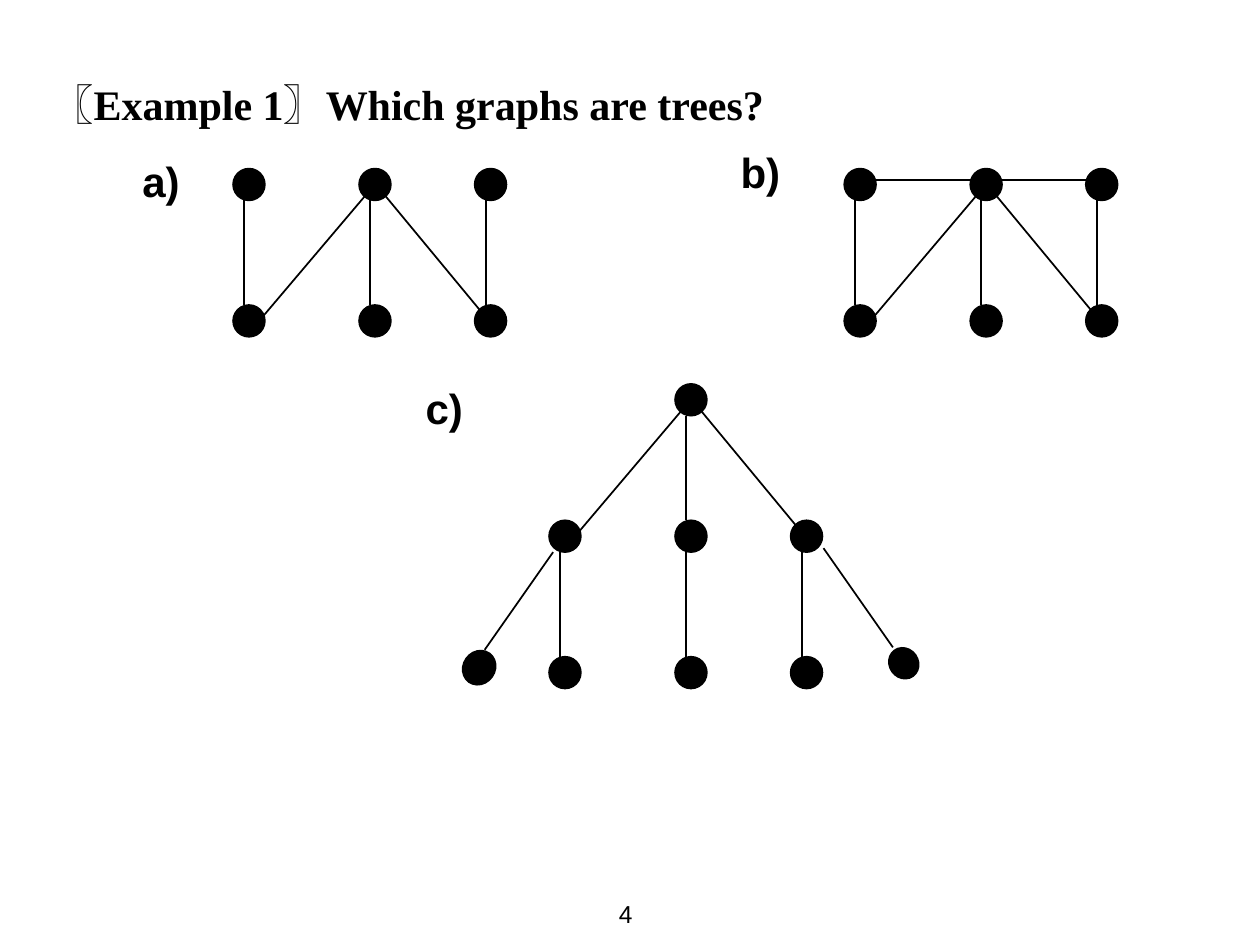
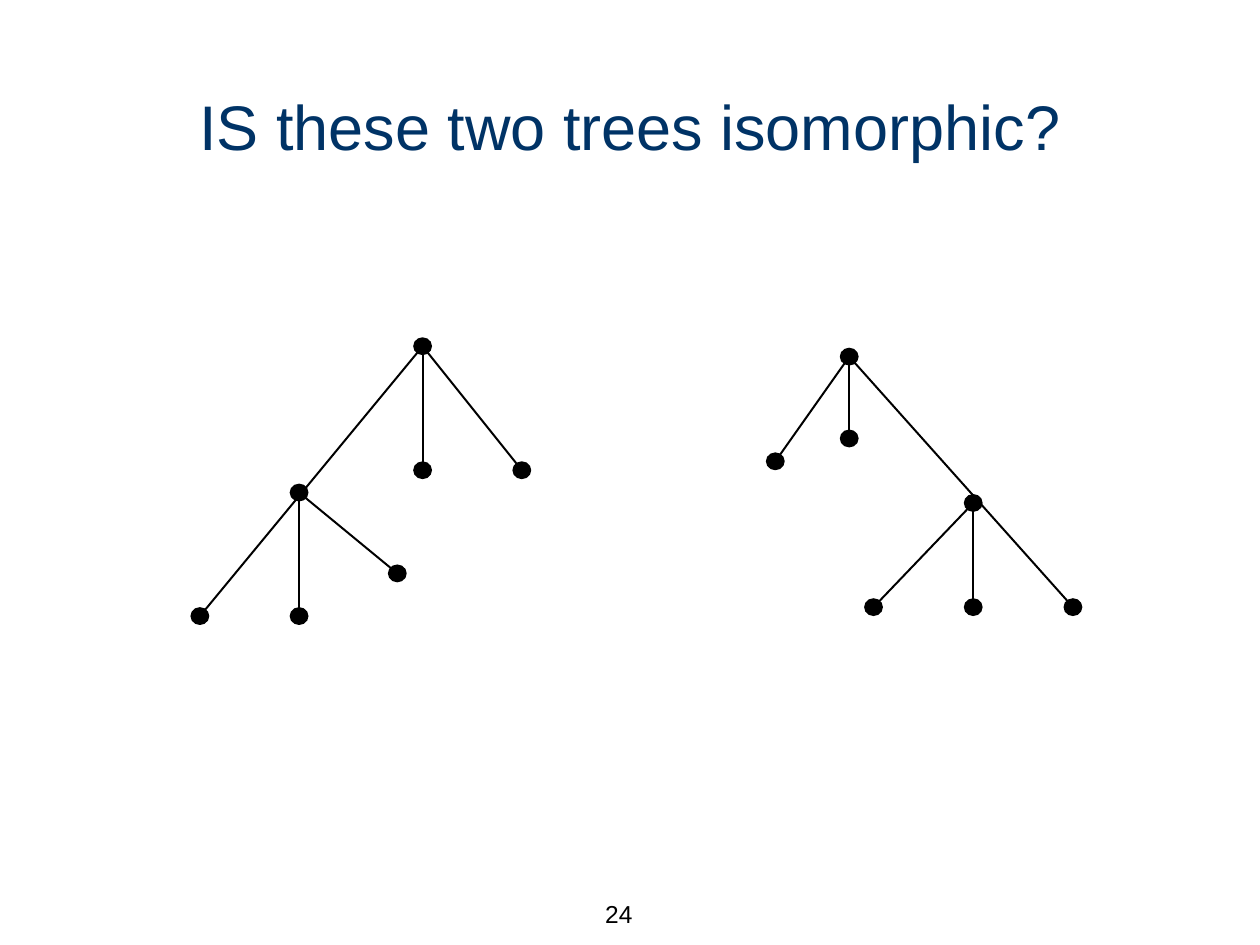
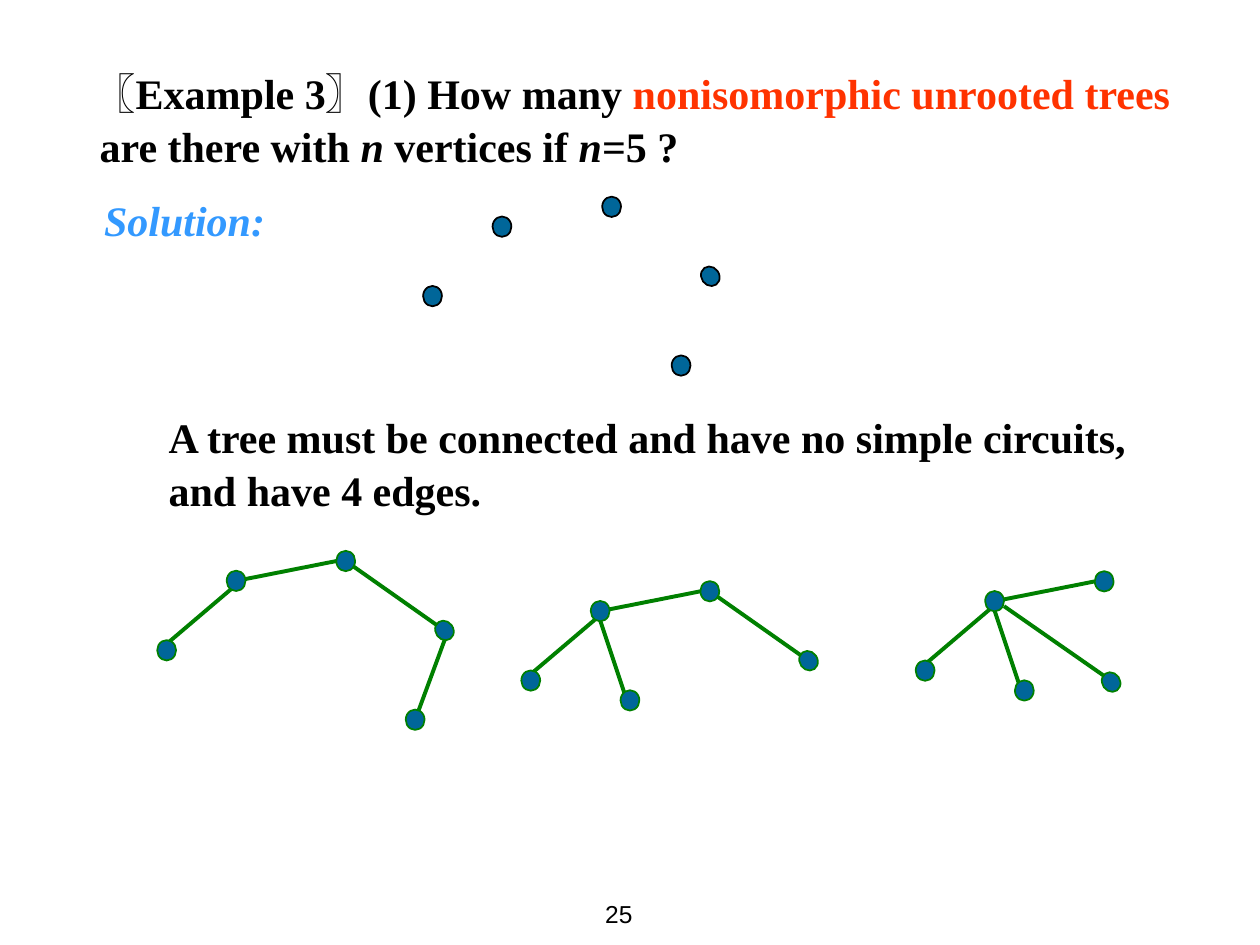
from lxml import etree
from pptx import Presentation
from pptx.dml.color import RGBColor
from pptx.enum.shapes import MSO_CONNECTOR, MSO_SHAPE
from pptx.enum.text import MSO_ANCHOR, PP_ALIGN
from pptx.oxml.ns import qn
from pptx.util import Cm, Pt

STRAIGHT, ELLIPSE = MSO_CONNECTOR.STRAIGHT, MSO_SHAPE.OVAL
TOP, MIDDLE = MSO_ANCHOR.TOP, MSO_ANCHOR.MIDDLE
LEFT, CENTER, RIGHT = PP_ALIGN.LEFT, PP_ALIGN.CENTER, PP_ALIGN.RIGHT

BLACK = RGBColor(0x00, 0x00, 0x00)
NAVY = RGBColor(0x00, 0x33, 0x66)
RED = RGBColor(0xFF, 0x33, 0x00)
SKY = RGBColor(0x33, 0x99, 0xFF)
TEAL = RGBColor(0x00, 0x66, 0x99)
GREEN = RGBColor(0x00, 0x80, 0x00)
SANS, SERIF = "Arial", "Times New Roman"

# Shared styles; lengths are centimetres, line widths and text sizes points
LARGE = dict(size=(0.64, 0.64), fill=BLACK, outline=BLACK, edge=BLACK, width=1)
SMALL = dict(size=(0.38, 0.36), fill=BLACK, outline=None, edge=BLACK, width=1.13)
SCATTERED = dict(size=(0.38, 0.41), fill=TEAL, outline=BLACK, edge=None, width=1)
JOINED = dict(size=(0.38, 0.41), fill=TEAL, outline=GREEN, edge=GREEN, width=2.25)
TILT = 324.8

# Slide 1: vertices sit on a grid, named (column, row)
COLUMNS, ROW_GAP = (0, 2.54, 4.87), 2.75
VERTICAL = ((-0.1, 0.32), (-0.1, -0.32))
TO_RIGHT = ((0.11, 0.11), (-0.11, -0.09))
TO_LEFT = ((-0.1, 0.11), (0.11, 0.11))
ACROSS = ((0.1, -0.09), (-0.1, -0.09))
FORK = [((1, 0), (2, 1), *TO_RIGHT), ((1, 0), (0, 1), *TO_LEFT)]


def columns_down(row, columns=(0, 1, 2)):
    return [((c, row), (c, row + 1), *VERTICAL) for c in columns]


TWO_ROWS = [(c, r) for r in range(2) for c in range(3)]
CANDIDATES = [
    dict(label="a)", label_at=(2.62, 2.97), origin=(5.02, 3.72), vertices=TWO_ROWS,
         edges=columns_down(0) + FORK, outer={}),
    dict(label="b)", label_at=(14.68, 2.77), origin=(17.34, 3.72), vertices=TWO_ROWS,
         edges=columns_down(0) + FORK + [((0, 0), (2, 0), *ACROSS)], outer={}),
    dict(label="c)", label_at=(8.33, 7.54), origin=(11.39, 8.06),
         vertices=[(1, 0)] + [(c, r) for r in (1, 2) for c in range(3)],
         edges=columns_down(0, [1]) + columns_down(1) + FORK + [
             ((0, 1), "outer left", (-0.24, 0.32), (0.11, -0.36)),
             ((2, 1), "outer right", (0.34, 0.24), (-0.22, -0.32))],
         outer={"outer left": (-1.73, 5.4, 0.64, 0.71, 35.2),
                "outer right": (6.83, 5.31, 0.58, 0.64, TILT)}),
]

# Slide 2: vertex centres and the edges between them
ISOMORPHIC = [
    (dict(root=(8.52, 6.98), middle=(8.52, 9.48), right=(10.52, 9.48), hub=(6.03, 9.93),
          low_left=(4.03, 12.42), low_middle=(6.03, 12.42), low_right=(8.01, 11.56)),
     ["root low_left", "root middle", "root right", "hub low_middle", "hub low_right"]),
    (dict(root=(17.12, 7.19), left=(15.63, 9.3), middle=(17.12, 8.84), hub=(19.62, 10.14),
          low_left=(17.61, 12.24), low_middle=(19.62, 12.24), low_right=(21.63, 12.24)),
     ["root left", "root middle", "root low_right", "hub low_left", "hub low_middle"]),
]

# Slide 3: vertices relative to the hub, and where each edge meets them
AROUND_HUB = dict(hub=(0, 0), left=(-1.4, 1.4), top=(2.21, -0.4), down=(0.6, 1.8),
                  right=(4.2, 1, 0.36, 0.41, TILT), bottom=(3.61, 2.8),
                  low_right=(2.35, 1.63, 0.36, 0.41, TILT))
HUB_EDGES = {
    "left hub": ((0, -0.13), (0, 0.08)),
    "hub top": ((0, 0), (-0.19, 0)),
    "top right": ((0, 0), (0, 0)),
    "right bottom": ((0, 0.2), (0, 0)),
    "hub down": ((0, 0.19), (0, 0.19)),
    "hub low_right": ((0.19, 0.1), (-0.15, -0.13)),
}
FIVE_VERTICES = [
    ((10.12, 4.57), "hub left top right bottom", [], SCATTERED),
    ((4.76, 11.71), "hub left top right bottom",
     ["left hub", "hub top", "top right", "right bottom"], JOINED),
    ((12.1, 12.32), "hub left top right down",
     ["left hub", "hub top", "hub down", "top right"], JOINED),
    ((20.05, 12.12), "hub left top low_right down",
     ["left hub", "hub top", "hub down", "hub low_right"], JOINED),
]
# Paragraph: runs, left margin, first-line indent, space before
QUESTION = [
    ([("〖Example 3〗(1) How many ", BLACK, False), ("nonisomorphic unrooted trees", RED, False),
      (" are there with ", BLACK, False), ("n ", BLACK, True), ("vertices if ", BLACK, False),
      ("n", BLACK, True), ("=5 ?", BLACK, False)], 0.97, -0.12, 0),
    ([("Solution:", SKY, True)], 0.97, 0.09, 12),
]
CONDITION = [([("A tree must be connected and have no simple circuits, and have 4 edges.",
                BLACK, False)], 0.97, 0, 0)]


def plain(text, color=BLACK):
    return [([(text, color, False)], 0, 0, 0)]


def add_text(slide, box, paragraphs, font, size, bold=False, align=LEFT, anchor=TOP, spacing=1.0):
    frame = slide.shapes.add_textbox(*map(Cm, box)).text_frame
    frame.word_wrap = True
    frame.vertical_anchor = anchor
    for i, (runs, margin, indent, before) in enumerate(paragraphs):
        paragraph = frame.add_paragraph() if i else frame.paragraphs[0]
        paragraph.alignment = align
        paragraph.line_spacing = spacing
        if before:
            paragraph.space_before = Pt(before)
        properties = paragraph._p.get_or_add_pPr()
        properties.set("marL", str(Cm(margin)))
        properties.set("indent", str(Cm(indent)))
        for text, color, italic in runs:
            run = paragraph.add_run()
            run.text = text
            run.font.name, run.font.size = font, Pt(size)
            run.font.bold, run.font.italic = bold, italic
            run.font.color.rgb = color


def add_edge(slide, start, end, style):
    edge = slide.shapes.add_connector(STRAIGHT, *map(Cm, (*start, *end)))
    edge.line.color.rgb = style["edge"]
    edge.line.width = Pt(style["width"])
    etree.SubElement(edge._element.spPr, qn("a:effectLst"))


def add_vertex(slide, style, x, y, width=None, height=None, rotation=0):
    if width is None:
        width, height = style["size"]
    vertex = slide.shapes.add_shape(
        ELLIPSE, Cm(x - width / 2), Cm(y - height / 2), Cm(width), Cm(height))
    vertex.rotation = rotation
    vertex.shadow.inherit = False
    vertex.fill.solid()
    vertex.fill.fore_color.rgb = style["fill"]
    if style["outline"] is None:
        vertex.line.fill.background()
    else:
        vertex.line.color.rgb = style["outline"]
        vertex.line.width = Pt(1)


def draw_graph(slide, vertices, edges, style, origin=(0, 0)):
    """Draw edges, then vertices; each edge gives two vertices and a shift at each."""
    placed = {name: (origin[0] + x, origin[1] + y, *rest)
              for name, (x, y, *rest) in vertices.items()}
    for first, second, *shifts in edges:
        start, end = [(placed[name][0] + dx, placed[name][1] + dy)
                      for name, (dx, dy) in zip((first, second), shifts)]
        add_edge(slide, start, end, style)
    for vertex in placed.values():
        add_vertex(slide, style, *vertex)


def new_slide(deck, number):
    slide = deck.slides.add_slide(deck.slide_layouts[6])
    add_text(slide, (11.3, 17.78, 1.7, 1.27), plain(number), SANS, 14,
             align=RIGHT, anchor=MIDDLE)
    return slide


def main():
    deck = Presentation()
    deck.slide_width, deck.slide_height = Cm(25.4), Cm(19.05)

    # Which graphs are trees
    slide = new_slide(deck, "4")
    add_text(slide, (0.79, 1.4, 22.86, 1.37), plain("〖Example 1〗Which graphs are trees?"),
             SERIF, 24, bold=True, anchor=MIDDLE)
    for graph in CANDIDATES:
        grid = {(c, r): (COLUMNS[c], r * ROW_GAP) for c, r in graph["vertices"]}
        draw_graph(slide, grid | graph["outer"], graph["edges"], LARGE, graph["origin"])
        add_text(slide, (*graph["label_at"], 1.6, 1.27), plain(graph["label"]),
                 SANS, 24, bold=True, spacing=1.05)

    # Two trees to compare
    slide = new_slide(deck, "24")
    add_text(slide, (1.27, 1.55, 22.86, 1.96), plain("IS these two trees isomorphic?", NAVY),
             SANS, 36, align=CENTER, anchor=MIDDLE)
    for vertices, pairs in ISOMORPHIC:
        edges = [(*pair.split(), (0, 0), (0, 0)) for pair in pairs]
        draw_graph(slide, vertices, edges, SMALL)

    # Unrooted trees with five vertices
    slide = new_slide(deck, "25")
    for box, paragraphs in (((0.79, 1.19, 23.42, 4.6), QUESTION),
                            ((2.18, 8.13, 22.2, 2.79), CONDITION)):
        add_text(slide, box, paragraphs, SERIF, 24, bold=True, spacing=1.05)
    for hub, names, pairs, style in FIVE_VERTICES:
        vertices = {name: AROUND_HUB[name] for name in names.split()}
        edges = [(*pair.split(), *HUB_EDGES[pair]) for pair in pairs]
        draw_graph(slide, vertices, edges, style, hub)

    deck.save("out.pptx")


if __name__ == "__main__":
    main()
